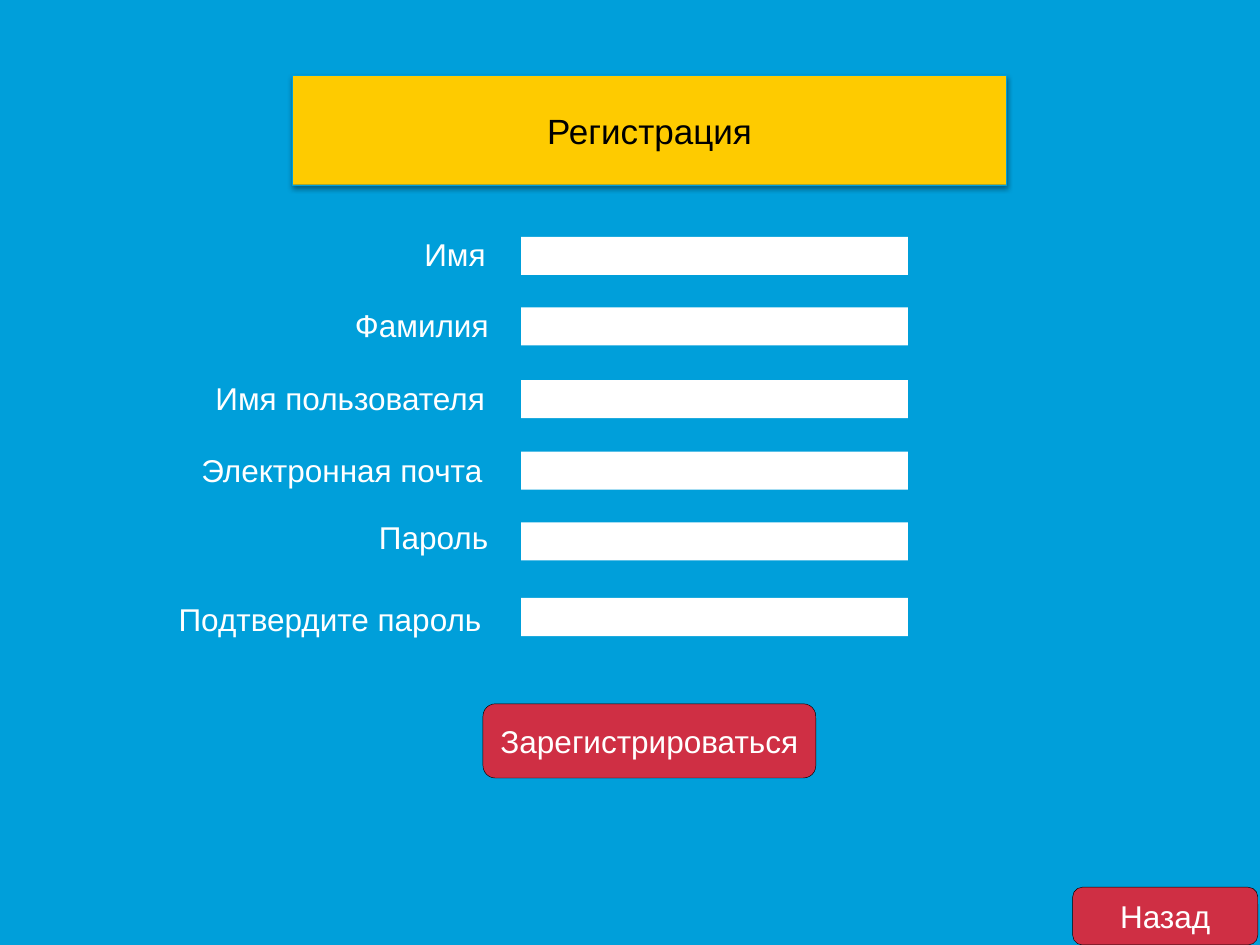
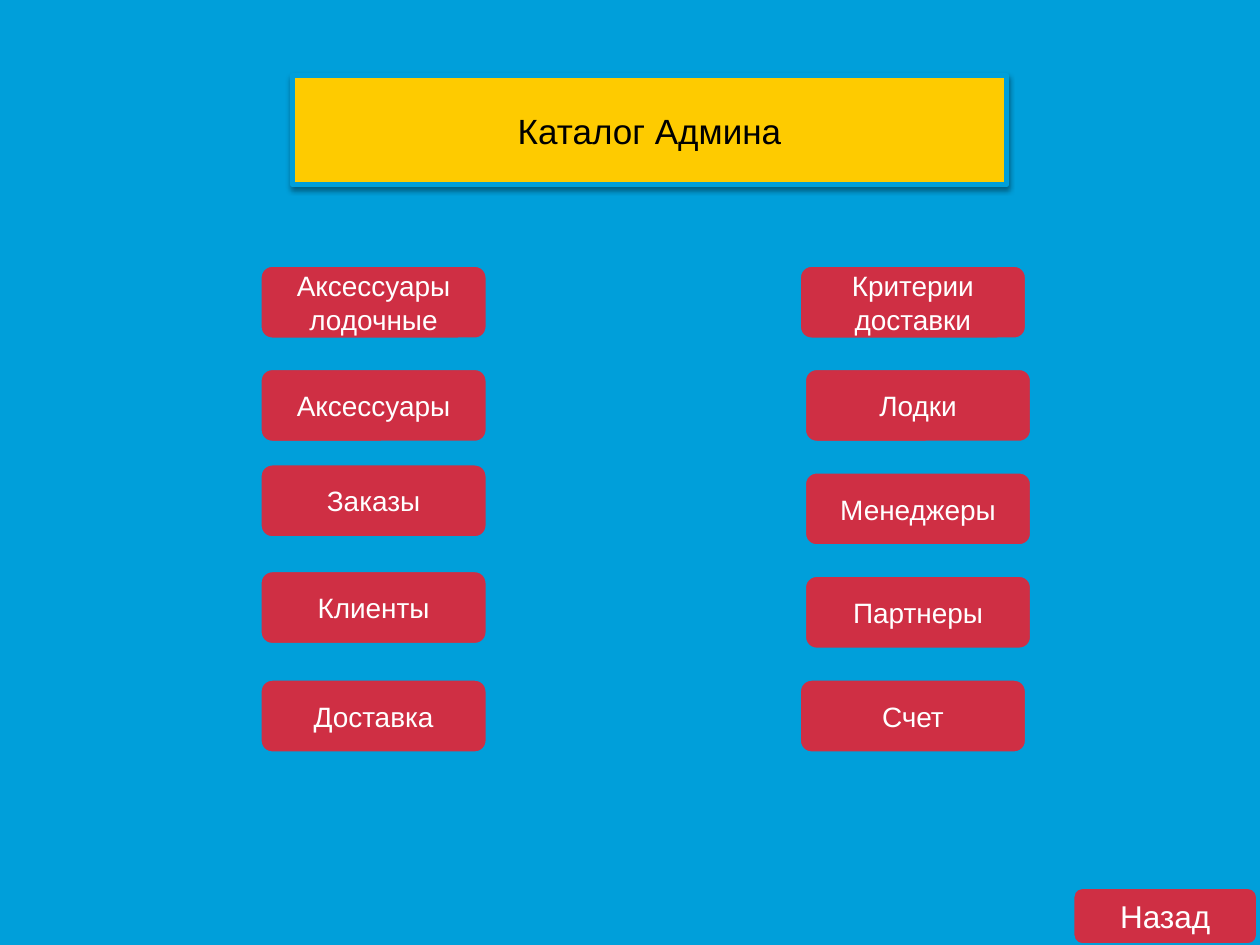
"""Builds two form screens: registration and the admin catalogue."""
from lxml import etree
from pptx import Presentation
from pptx.dml.color import RGBColor
from pptx.enum import shapes, text
from pptx.oxml import ns
from pptx.util import Pt

BLUE = RGBColor(0x00, 0x9F, 0xDA)
GOLD = RGBColor(0xFE, 0xCB, 0x00)
RED = RGBColor(0xCF, 0x2F, 0x44)
WHITE = RGBColor(0xFF, 0xFF, 0xFF)
BLACK = RGBColor(0x00, 0x00, 0x00)
FONT = "Arial"
KIND = shapes.MSO_SHAPE

# Label, its left, top and width, then the top of its field
FORM = [
    ("Имя", 235.4, 131, 51.2, 135.3),
    ("Фамилия", 195.8, 171.2, 96.5, 175.6),
    ("Имя пользователя", 116, 213, 170, 217.2),
    ("Электронная почта", 108, 254, 178.6, 258),
    ("Пароль", 209.5, 292.4, 77, 298.5),
    ("Подтвердите пароль", 95, 339.2, 191.5, 341.7),
]
# Button, its left and top
MENU = [
    ("Аксессуары лодочные", 148.5, 151.5),
    ("Аксессуары", 148.5, 210.5),
    ("Заказы", 148.5, 265),
    ("Клиенты", 148.5, 326),
    ("Доставка", 148.5, 388),
    ("Критерии доставки", 456.7, 151.5),
    ("Лодки", 459.6, 210.5),
    ("Менеджеры", 459.6, 269.6),
    ("Партнеры", 459.6, 328.7),
    ("Счет", 456.7, 388),
]


def write(frame, words, size, color, align=text.PP_ALIGN.CENTER):
    """Put one run of text into a frame."""
    frame.word_wrap = True
    para = frame.paragraphs[0]
    para.alignment = align
    run = para.add_run()
    run.text = words
    run.font.size = Pt(size)
    run.font.name = FONT
    run.font.color.rgb = color


def paint(shape, fill, line=None, width=0.25):
    """Set fill and outline, and take the theme shadow away."""
    shape.shadow.inherit = False
    shape.fill.solid()
    shape.fill.fore_color.rgb = fill
    if line is None:
        shape.line.fill.background()
    else:
        shape.line.color.rgb = line
        shape.line.width = Pt(width)


def shade(shape):
    """Add a soft shadow below a painted shape."""
    effects = shape._element.spPr.find(ns.qn("a:effectLst"))
    outer = etree.SubElement(
        effects, ns.qn("a:outerShdw"), blurRad=str(Pt(3.1)),
        dist=str(Pt(1.6)), dir="5400000", algn="ctr", rotWithShape="0")
    color = etree.SubElement(outer, ns.qn("a:srgbClr"), val=str(BLACK))
    etree.SubElement(color, ns.qn("a:alpha"), val="38000")


def banner(slide, words, width):
    """Turn the title placeholder into the gold banner."""
    title = slide.shapes.title
    title.left, title.top = Pt(167.2), Pt(43.2)
    title.width, title.height = Pt(408), Pt(62.4)
    paint(title, GOLD, BLUE, width)
    shade(title)
    frame = title.text_frame
    frame.auto_size = text.MSO_AUTO_SIZE.NONE
    frame.vertical_anchor = text.MSO_ANCHOR.MIDDLE
    write(frame, words, 20, BLACK)


def button(slide, words, box, size, line, width):
    """Draw a red rounded button."""
    shape = slide.shapes.add_shape(KIND.ROUNDED_RECTANGLE, *map(Pt, box))
    paint(shape, RED, line, width)
    shape.text_frame.vertical_anchor = text.MSO_ANCHOR.MIDDLE
    write(shape.text_frame, words, size, WHITE)


def field(slide, top):
    """Draw an empty white entry field."""
    box = (297.8, top, 221, 21.8)
    paint(slide.shapes.add_shape(KIND.RECTANGLE, *map(Pt, box)), WHITE)


def label(slide, words, left, top, width):
    """Write the caption of a field."""
    box = slide.shapes.add_textbox(*map(Pt, (left, top, width, 29)))
    write(box.text_frame, words, 18, WHITE, text.PP_ALIGN.LEFT)
    box.text_frame.auto_size = text.MSO_AUTO_SIZE.SHAPE_TO_FIT_TEXT


def screen(deck, words, edge, line, width):
    """Add a slide with its banner and back button."""
    slide = deck.slides.add_slide(deck.slide_layouts[0])
    spare = slide.placeholders[1]._element
    spare.getparent().remove(spare)
    banner(slide, words, edge)
    button(slide, "Назад", (613, 507, 105.8, 33), 18, line, width)
    return slide


def signup(deck):
    """Build the registration form."""
    slide = screen(deck, "Регистрация", 0.25, BLACK, 0.25)
    for words, left, top, width, row in FORM:
        label(slide, words, left, top, width)
        field(slide, row)
    button(slide, "Зарегистрироваться", (276, 402.2, 190.2, 42.4),
           18, BLACK, 0.25)


def catalog(deck):
    """Build the two columns of catalogue buttons."""
    slide = screen(deck, "Каталог Админа", 3, BLUE, 2)
    for words, left, top in MENU:
        button(slide, words, (left, top, 130, 42.4), 16, BLUE, 2)


def main():
    """Build and save the deck."""
    deck = Presentation()
    deck.slide_width, deck.slide_height = Pt(720), Pt(540)
    ground = deck.slide_master.background.fill
    ground.solid()
    ground.fore_color.rgb = BLUE
    signup(deck)
    catalog(deck)
    deck.save("out.pptx")


main()
